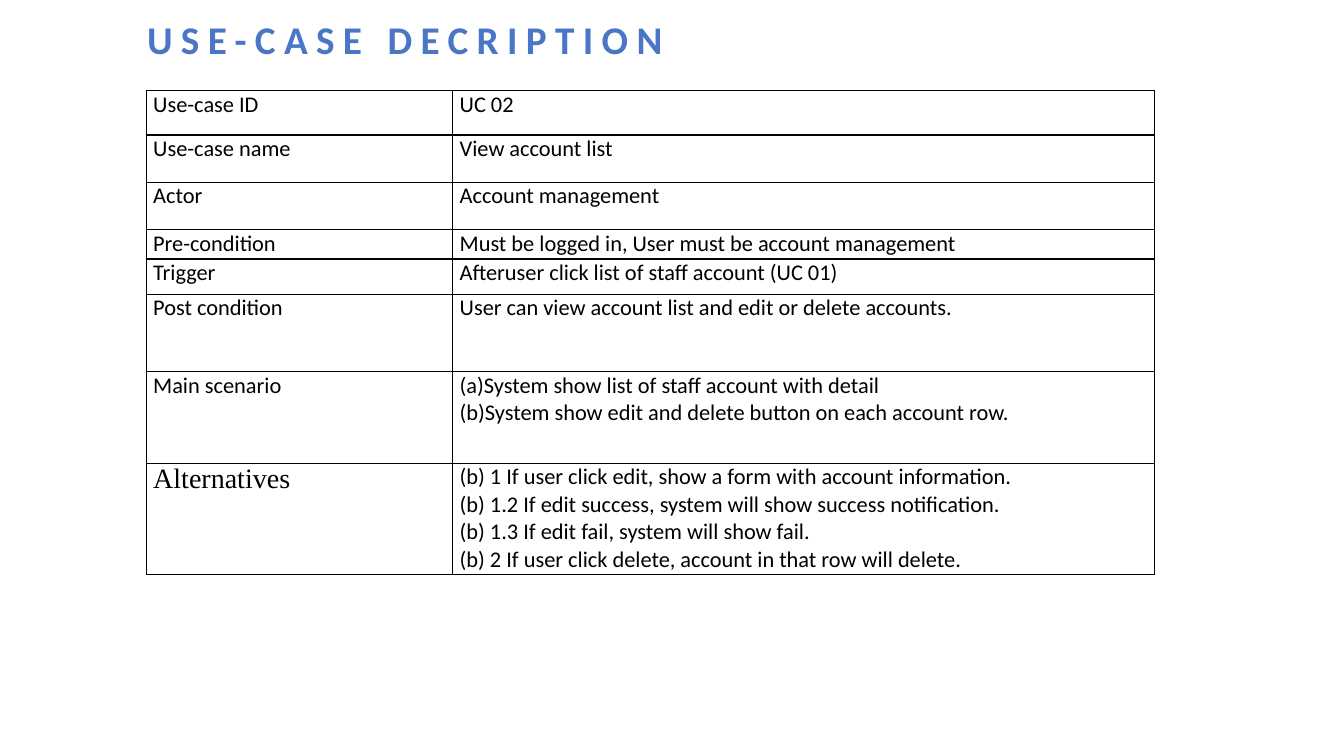
"""Build a use-case description slide with a title and a two-column table."""
import pptx
import pptx.dml.color
import pptx.enum.text
import pptx.oxml
import pptx.oxml.ns
import pptx.util

TITLE = "USE-CASE DECRIPTION"
ROWS = [
    (0.44, "Use-case ID", ["UC 02"]),
    (0.47, "Use-case name", ["View account list"]),
    (0.47, "Actor", ["Account management"]),
    (0.29, "Pre-condition", ["Must be logged in, User must be account management"]),
    (0.35, "Trigger", ["Afteruser click list of staff account (UC 01)"]),
    (0.77, "Post condition", ["User can view account list and edit or delete accounts."]),
    (0.91, "Main scenario", [
        "(a)System show list of staff account with detail",
        "(b)System show edit and delete button on each account row.",
    ]),
    (1.1, "Alternatives", [
        "(b) 1 If user click edit, show a form with account information.",
        "(b) 1.2 If edit success, system will show success notification.",
        "(b) 1.3 If edit fail, system will show fail.",
        "(b) 2 If user click delete, account in that row will delete.",
    ]),
]
COLS = (3.04, 6.96)
BODY = ("Calibri", 16)
FONTS = {"Alternatives": ("Times New Roman", 20)}
COLORS = {"title": "4976C5", "text": "000000", "border": "080000"}

Inch = pptx.util.Inches


def add_run(para, text, face, size, color):
    """Add one styled run to a paragraph."""
    run = para.add_run()
    run.text = text
    run.font.name = face
    run.font.size = pptx.util.Pt(size)
    run.font.color.rgb = pptx.dml.color.RGBColor.from_string(COLORS[color])
    return run


def add_title(slide):
    """Place the spaced-out heading."""
    box = slide.shapes.add_textbox(Inch(1.36), Inch(0.16), Inch(10.01), Inch(0.65))
    frame = box.text_frame
    frame.word_wrap = True
    frame.vertical_anchor = pptx.enum.text.MSO_ANCHOR.TOP
    para = frame.paragraphs[0]
    para.line_spacing = 0.9
    run = add_run(para, TITLE, "Calibri", 28, "title")
    run.font.bold = True
    run.font._element.set("spc", "600")


def add_border(cell):
    """Draw a thin line on all four sides of a cell."""
    props = cell._tc.get_or_add_tcPr()
    for spot, side in enumerate("LRTB"):
        line = pptx.oxml.parse_xml(
            f'<a:ln{side} {pptx.oxml.ns.nsdecls("a")} w="12700"><a:solidFill>'
            f'<a:srgbClr val="{COLORS["border"]}"/></a:solidFill></a:ln{side}>'
        )
        props.insert(spot, line)


def fill_cell(cell, lines):
    """Write the lines of a cell and set its look."""
    cell.margin_left = cell.margin_right = Inch(0.07)
    cell.margin_top = cell.margin_bottom = 0
    cell.fill.background()
    add_border(cell)
    frame = cell.text_frame
    for spot, text in enumerate(lines):
        para = frame.add_paragraph() if spot else frame.paragraphs[0]
        face, size = FONTS.get(text, BODY)
        add_run(para, text, face, size, "text")


def add_grid(slide):
    """Place the use-case table."""
    high = sum(row[0] for row in ROWS)
    frame = slide.shapes.add_table(
        len(ROWS), len(COLS), Inch(1.45), Inch(0.9), Inch(sum(COLS)), Inch(high)
    )
    table = frame.table
    table.first_row = table.horz_banding = False
    for col, wide in zip(table.columns, COLS):
        col.width = Inch(wide)
    for row, (tall, label, lines) in zip(table.rows, ROWS):
        row.height = Inch(tall)
        for cell, texts in zip(row.cells, ([label], lines)):
            fill_cell(cell, texts)


def main():
    """Build and save the deck."""
    deck = pptx.Presentation()
    deck.slide_width, deck.slide_height = Inch(13.33), Inch(7.5)
    slide = deck.slides.add_slide(deck.slide_layouts[6])
    add_title(slide)
    add_grid(slide)
    deck.save("out.pptx")


if __name__ == "__main__":
    main()
